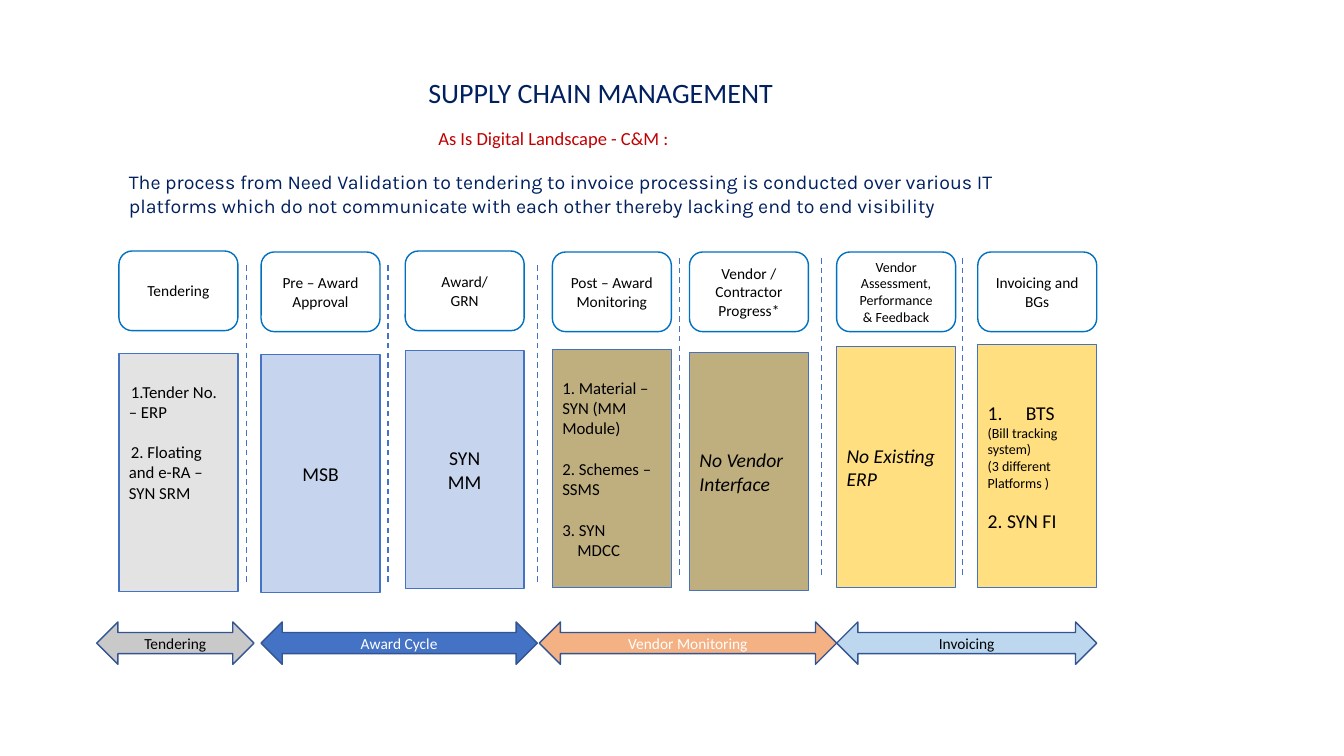
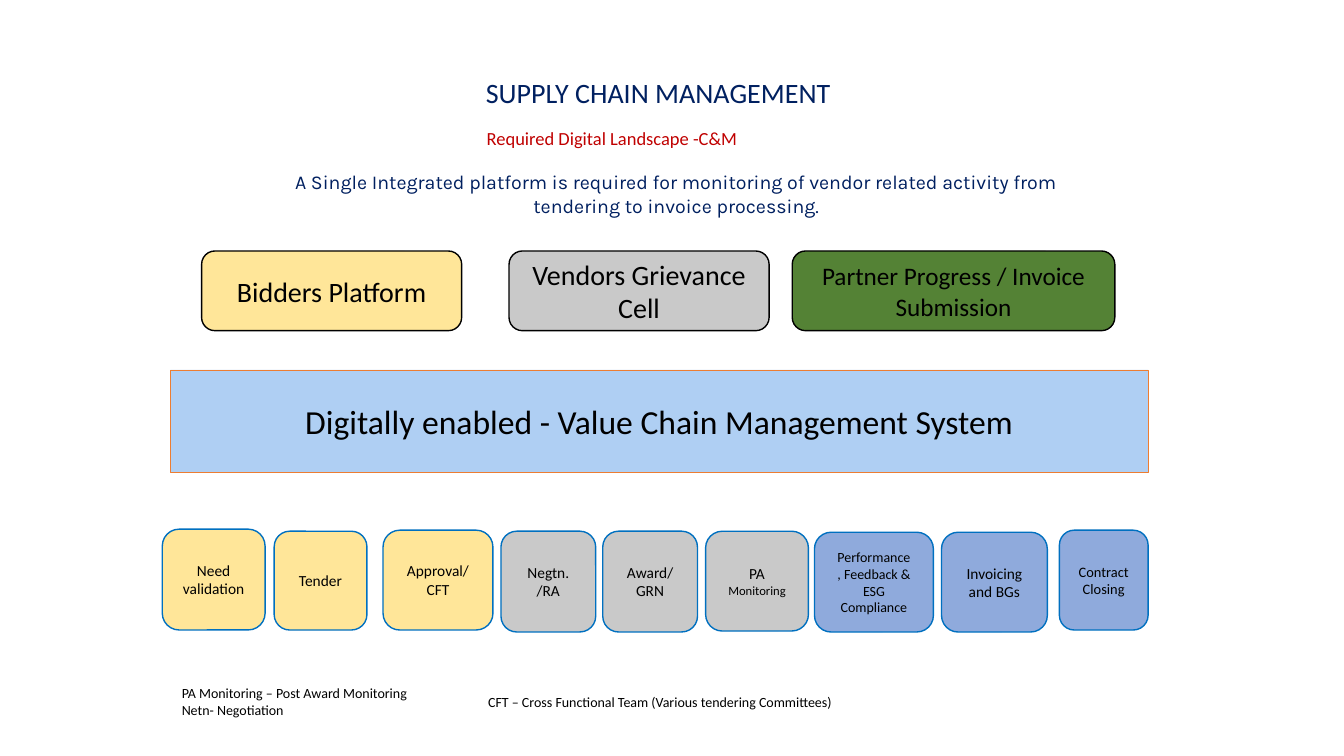
import pptx
import pptx.dml.color
import pptx.enum.dml
import pptx.enum.shapes
import pptx.enum.text
import pptx.oxml.ns
import pptx.util
from lxml import etree

RGBColor = pptx.dml.color.RGBColor
Pt = pptx.util.Pt
Inches = pptx.util.Inches
Shapes = pptx.enum.shapes.MSO_SHAPE
Align = pptx.enum.text.PP_ALIGN
Anchor = pptx.enum.text.MSO_ANCHOR

NAVY = RGBColor(0x00, 0x20, 0x60)
RED = RGBColor(0xC0, 0x00, 0x00)
BLACK = RGBColor(0x00, 0x00, 0x00)
WHITE = RGBColor(0xFF, 0xFF, 0xFF)
OUTLINE = RGBColor(0x00, 0x70, 0xC0)
BLUE = RGBColor(0x44, 0x72, 0xC4)
DARK_BLUE = RGBColor(0x32, 0x54, 0x91)
PERIWINKLE = RGBColor(0x8F, 0xAA, 0xDC)
PALE_BLUE = RGBColor(0xBD, 0xD7, 0xEE)
SKY = RGBColor(0xAF, 0xCF, 0xF3)
GREY = RGBColor(0xC9, 0xC9, 0xC9)
OLIVE = RGBColor(0x80, 0x60, 0x00)
AMBER = RGBColor(0xFF, 0xC0, 0x00)
CREAM = RGBColor(0xFF, 0xE6, 0x99)
GREEN = RGBColor(0x54, 0x82, 0x35)
PEACH = RGBColor(0xF4, 0xB1, 0x83)
ORANGE = RGBColor(0xED, 0x7D, 0x31)

CELL = 0.1
COLUMNS, ROWS = 133.33, 75


def grid(*cells):
    return [Inches(cell * CELL) for cell in cells]


def set_values(target, values):
    for name, value in values.items():
        setattr(target, name, value)


def add_element(parent, tag, **attributes):
    return etree.SubElement(parent, pptx.oxml.ns.qn(tag), **attributes)


class Deck:
    body_font = "Calibri"
    lead_font = "Karla"

    def __init__(self):
        self.presentation = pptx.Presentation()
        width, height = grid(COLUMNS, ROWS)
        set_values(self.presentation, {"slide_width": width, "slide_height": height})
        self.slide = None

    def new_slide(self):
        self.slide = self.presentation.slides.add_slide(self.presentation.slide_layouts[6])

    def fill_text(self, shape, lines, size, color=BLACK, align=Align.CENTER,
                  anchor=Anchor.MIDDLE, font=None, italic=None, frame=None):
        text_frame = shape.text_frame
        set_values(text_frame, {"word_wrap": True, "vertical_anchor": anchor, **(frame or {})})
        for index, line in enumerate([lines] if isinstance(lines, str) else lines):
            text, options = (line, {}) if isinstance(line, str) else line
            paragraph = text_frame.paragraphs[0] if index == 0 else text_frame.add_paragraph()
            set_values(paragraph, {"alignment": align, **options.get("paragraph", {})})
            run = paragraph.add_run()
            run.text = text
            set_values(run.font, {"size": Pt(options.get("size", size)),
                                  "name": font or self.body_font, "italic": italic})
            run.font.color.rgb = color
            self.indent(paragraph, **options.get("indent", {}))

    def indent(self, paragraph, left=0, first=0, numbered=False):
        properties = paragraph._p.get_or_add_pPr()
        for name, length in (("marL", left), ("indent", first)):
            if length:
                properties.set(name, str(Inches(length)))
        if numbered:
            add_element(properties, "a:buFont", typeface="+mj-lt")
            add_element(properties, "a:buAutoNum", type="arabicPeriod")

    def text(self, box, lines, size, **style):
        shape = self.slide.shapes.add_textbox(*grid(*box))
        self.fill_text(shape, lines, size, **style)

    def heading(self, left, subtitle_left, subtitle):
        self.text((left, 7.8, 86.2, 2.8), "SUPPLY CHAIN MANAGEMENT", 20, color=NAVY)
        self.text((subtitle_left, 12.4, 86.2, 2.8), [(subtitle, {"paragraph": {"line_spacing": 0.7}})],
                  13.2, color=RED, anchor=Anchor.BOTTOM)

    def lead(self, left, width, text, align):
        self.text((left, 16.4, width, 5.7), text, 14, color=NAVY, align=align,
                  anchor=Anchor.TOP, font=self.lead_font)

    def shape(self, kind, box, lines, size, fill=None, line=None, weight=1, opacity=None, **style):
        shape = self.slide.shapes.add_shape(kind, *grid(*box))
        shape.shadow.inherit = False
        if fill is None:
            shape.fill.background()
        else:
            shape.fill.solid()
            shape.fill.fore_color.rgb = fill
        if opacity:
            color = shape._element.spPr.find(".//" + pptx.oxml.ns.qn("a:srgbClr"))
            add_element(color, "a:alpha", val=str(opacity * 1000))
        if line is None:
            shape.line.fill.background()
        else:
            shape.line.color.rgb = line
            shape.line.width = Pt(weight)
        self.fill_text(shape, lines, size, **style)

    def card(self, box, lines, size=11, fill=None, line=OUTLINE, **style):
        self.shape(Shapes.ROUNDED_RECTANGLE, box, lines, size, fill, line, **style)

    def panel(self, box, lines, size, fill, **style):
        self.shape(Shapes.RECTANGLE, box, lines, size, fill, BLUE, opacity=50, **style)

    def phase(self, left, width, text, fill, color):
        self.shape(Shapes.LEFT_RIGHT_ARROW, (left, 61.7, width, 4.2), text, 11,
                   fill, DARK_BLUE, color=color)

    def divider(self, column, top, height):
        line = self.slide.shapes.add_connector(pptx.enum.shapes.MSO_CONNECTOR.STRAIGHT,
                                               *grid(column, top, column, top + height))
        line.line.color.rgb = BLUE
        set_values(line.line, {"width": Pt(1), "dash_style": pptx.enum.dml.MSO_LINE.DASH})
        add_element(line._element.spPr, "a:effectLst")


def gap(points):
    return {"paragraph": {"space_before": Pt(points)}}


def build_current_landscape(deck):
    deck.new_slide()
    deck.heading(16.5, 11.8, "As Is Digital Landscape - C&M :")
    deck.lead(11.8, 93.1, "The process from Need Validation to tendering to invoice processing is "
              "conducted over various IT platforms which do not communicate with each other "
              "thereby lacking end to end visibility", Align.LEFT)

    line_gap = gap(14.6)
    hanging = {"indent": {"first": 0.02}}
    left = {"align": Align.LEFT}
    stages = [
        (11.8, 24.9, "Tendering", 11, 35.1, 23.6, GREY, 12,
         [("1.Tender No. – ERP", hanging),
          ("2. Floating and e-RA – SYN SRM", {**hanging, **line_gap})],
         {**left, "frame": {"margin_bottom": Inches(0.66)}}),
        (25.9, 25, "Pre – Award Approval", 11, 35.2, 23.6, PERIWINKLE, 14, "MSB", {}),
        (40.2, 24.9, ["Award/", "GRN"], 11, 34.8, 23.6, PERIWINKLE, 14, ["SYN", "MM"], {}),
        (54.8, 25, "Post – Award Monitoring", 11, 34.7, 23.6, OLIVE, 12,
         ["1. Material – SYN (MM Module)", ("2. Schemes – SSMS", line_gap),
          ("3. SYN", line_gap), ("MDCC", {"indent": {"left": 0.15}})], left),
        (68.4, 25, "Vendor / Contractor Progress*", 11, 35, 23.6, OLIVE, 14,
         "No Vendor Interface", {**left, "italic": True}),
        (83, 25, ["Vendor Assessment, Performance", "& Feedback"], 10, 34.4, 23.9, AMBER, 14,
         "No Existing ERP", {**left, "italic": True}),
        (97, 25, "Invoicing and BGs", 11, 34.2, 24.1, AMBER, 14,
         [("BTS", {"indent": {"left": 0.38, "first": -0.38, "numbered": True}}),
          ("(Bill tracking system)", {"size": 10}), ("(3 different Platforms )", {"size": 10}),
          ("2. SYN FI", gap(12.2))], left),
    ]
    for column, card_top, name, name_size, top, height, fill, size, lines, style in stages:
        deck.card((column, card_top, 11.8, 7.9), name, name_size)
        deck.panel((column, top, 11.8, height), lines, size, fill, **style)

    for top, columns in ((26.3, (24.45, 38.5, 53.3)), (25.6, (67.4, 81.5, 95.5))):
        for column in columns:
            deck.divider(column, top, 31.5)

    for phase in ((9.6, 15.6, "Tendering", GREY, BLACK),
                  (25.9, 27.4, "Award Cycle", BLUE, WHITE),
                  (53.5, 29.5, "Vendor Monitoring", PEACH, WHITE),
                  (83, 25.8, "Invoicing", PALE_BLUE, BLACK)):
        deck.phase(*phase)


def build_required_landscape(deck):
    deck.new_slide()
    deck.heading(22.2, 17.6, "Required Digital Landscape -C&M")
    deck.lead(24, 86.2, "A Single Integrated platform is required for monitoring of vendor related "
              "activity from tendering to invoice processing.", Align.CENTER)

    for column, width, text, size, fill in (
            (20, 25.8, "Bidders Platform", 20, CREAM),
            (50.5, 25.8, "Vendors Grievance Cell", 20, GREY),
            (78.6, 32, "Partner Progress / Invoice Submission", 18, GREEN)):
        deck.card((column, 24.9, width, 7.9), text, size, fill, BLACK)

    deck.shape(Shapes.RECTANGLE, (16.9, 36.7, 97, 10.2),
               "Digitally enabled - Value Chain Management System", 24, SKY, ORANGE, 0.5)

    for column, top, width, height, lines, size, fill in (
            (16.1, 52.5, 10.2, 10, "Need validation", 11, CREAM),
            (27.2, 52.7, 9.2, 9.8, "Tender", 11, CREAM),
            (38, 52.6, 10.9, 9.9, "Approval/ CFT", 11, CREAM),
            (49.7, 52.7, 9.4, 10, "Negtn. /RA", 11, GREY),
            (59.8, 52.7, 9.4, 10, ["Award/", "GRN"], 11, GREY),
            (70, 52.7, 10.2, 9.9, ["PA", ("Monitoring", {"size": 9})], 11, GREY),
            (80.8, 52.8, 11.8, 9.9, ["Performance", ", Feedback & ESG Compliance"], 10, PERIWINKLE),
            (93.4, 52.8, 10.5, 9.9, "Invoicing and BGs", 11, PERIWINKLE),
            (105.1, 52.6, 8.8, 9.9, "Contract Closing", 10.3, PERIWINKLE)):
        deck.card((column, top, width, height), lines, size, fill)

    for box, lines in (
            ((16.9, 68, 33.6, 3.1), ["PA Monitoring – Post Award Monitoring", "Netn- Negotiation"]),
            ((47.3, 68.1, 47.7, 3), "CFT – Cross Functional Team (Various tendering Committees)")):
        deck.card(box, lines, 10, WHITE, None, align=Align.LEFT)


def main():
    deck = Deck()
    build_current_landscape(deck)
    build_required_landscape(deck)
    deck.presentation.save("out.pptx")


if __name__ == "__main__":
    main()
